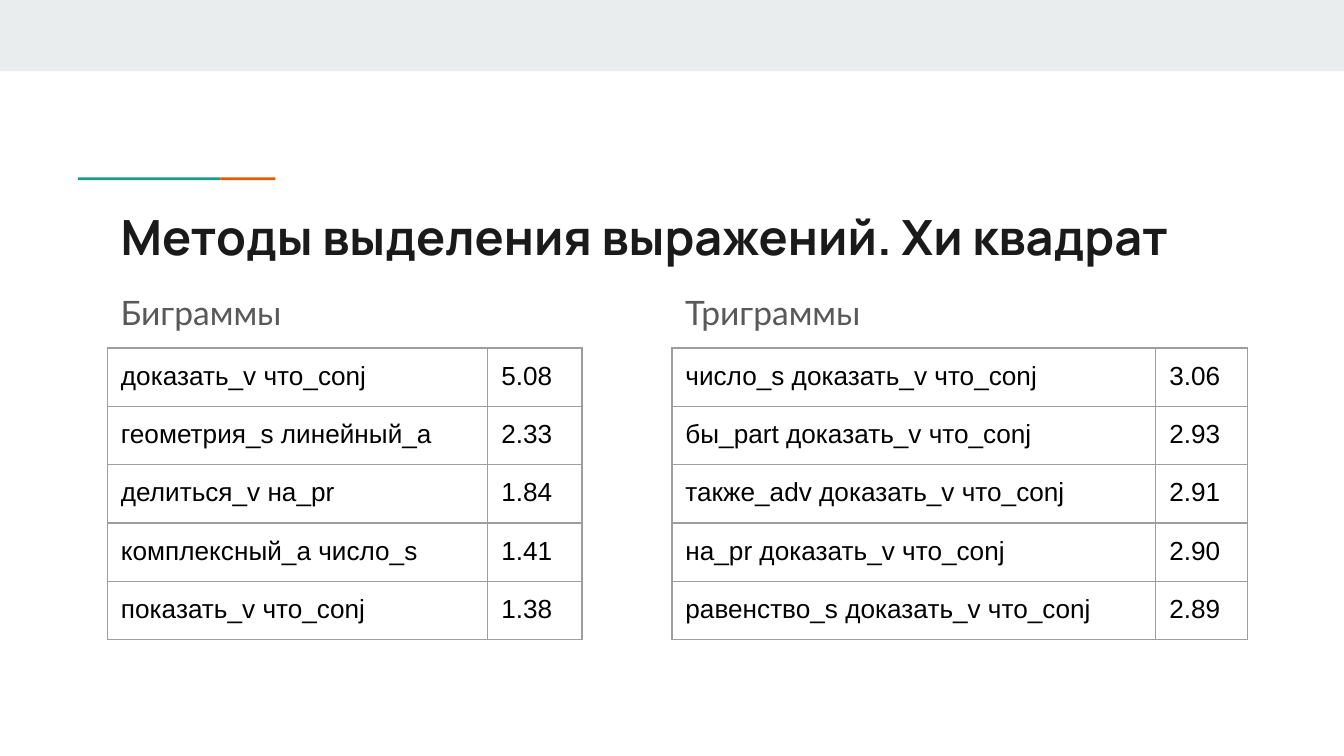
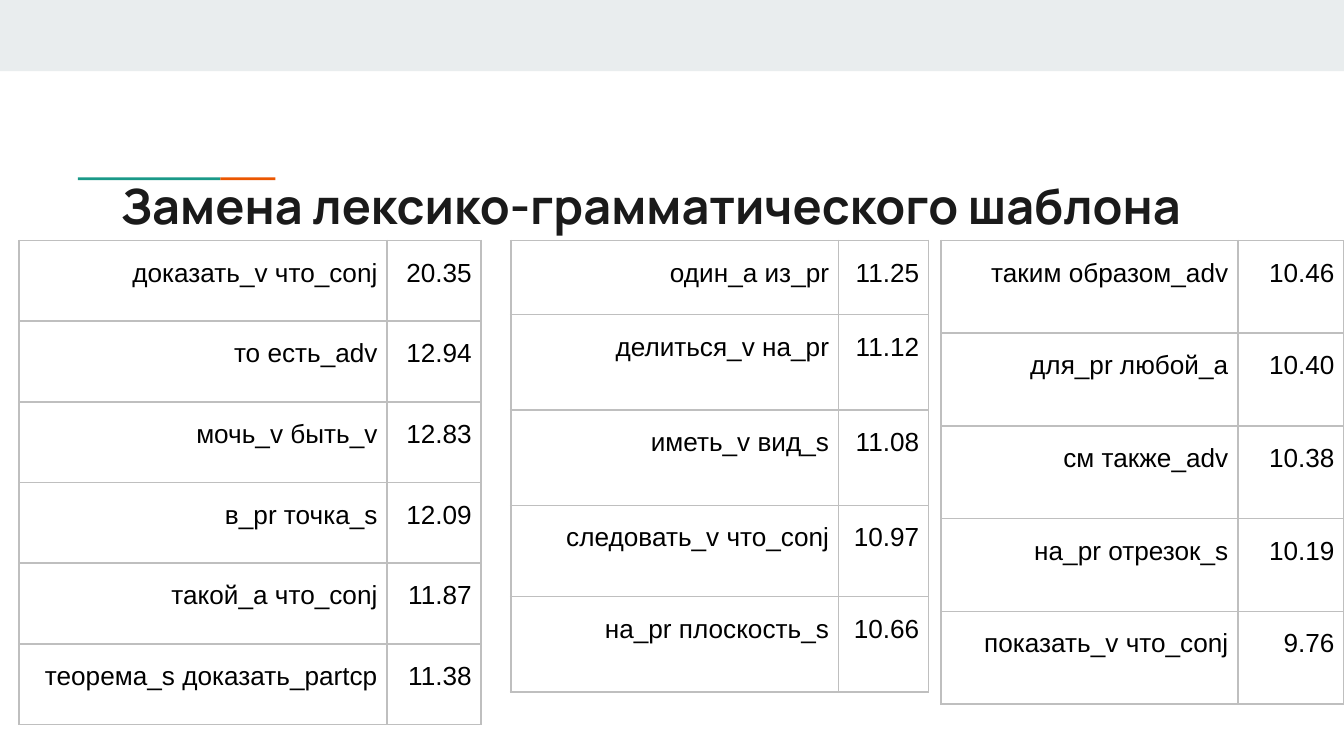
"""Build two slides of expression-extraction tables."""
from dataclasses import dataclass

from lxml import etree
from pptx import Presentation
from pptx.dml.color import RGBColor
from pptx.enum.shapes import MSO_SHAPE
from pptx.enum.text import PP_ALIGN
from pptx.oxml.ns import qn
from pptx.slide import Slide
from pptx.util import Inches, Pt

RECTANGLE = MSO_SHAPE.RECTANGLE
LEFT, RIGHT = PP_ALIGN.LEFT, PP_ALIGN.RIGHT

BAND = RGBColor(0xE9, 0xED, 0xEE)
TEAL = RGBColor(0x1A, 0x99, 0x88)
ORANGE = RGBColor(0xEB, 0x56, 0x00)
TITLE_INK = RGBColor(0x1A, 0x1A, 0x1A)
LABEL_INK = RGBColor(0x59, 0x59, 0x59)
CELL_INK = RGBColor(0x00, 0x00, 0x00)
DARK_BORDER = RGBColor(0x9E, 0x9E, 0x9E)
LIGHT_BORDER = RGBColor(0xBF, 0xBF, 0xBF)

TABLE_FRAME = Inches(3.28)


@dataclass(frozen=True)
class Bar:
    """A plain coloured strip, in inches."""
    left: float
    top: float
    width: float
    height: float
    color: RGBColor


@dataclass(frozen=True)
class TextStyle:
    """Font and spacing of a text box."""
    font: str
    size: float
    color: RGBColor
    bold: bool = False
    line_spacing: float | None = None
    space_after: float = 0


@dataclass(frozen=True)
class TableStyle:
    """Look shared by the tables of one slide."""
    top: float
    border: RGBColor
    border_width: float
    side_margin: float
    align: PP_ALIGN
    line_spacing: float | None = None
    space_before: float = 0


@dataclass(frozen=True)
class ScoreTable:
    """Expressions with their scores, and the table's geometry."""
    left: float
    columns: tuple[float, float]
    row_heights: tuple[float, ...]
    rows: tuple[tuple[str, str], ...]


BARS = (
    Bar(0, 0, 10, 0.53, BAND),
    Bar(0.58, 1.32, 1.06, 0.02, TEAL),
    Bar(1.64, 1.32, 0.41, 0.02, ORANGE),
)
TITLE = TextStyle("Manrope", 26, TITLE_INK, bold=True)
LABEL = TextStyle("Lato", 18, LABEL_INK, line_spacing=1.15, space_after=16)
NGRAM_STYLE = TableStyle(2.59, DARK_BORDER, 0.75, 0.1, LEFT)
PATTERN_STYLE = TableStyle(1.79, LIGHT_BORDER, 1, 0.07, RIGHT, 1.15, 12)

NGRAM_TABLES = {
    "Биграммы": ScoreTable(0.8, (2.83, 0.7), (0.42,) * 5, (
        ("доказать_v что_conj", "5.08"),
        ("геометрия_s линейный_а", "2.33"),
        ("делиться_v на_pr", "1.84"),
        ("комплексный_а число_s", "1.41"),
        ("показать_v что_conj", "1.38"),
    )),
    "Триграммы": ScoreTable(5, (3.6, 0.68), (0.42,) * 5, (
        ("число_s доказать_v что_conj", "3.06"),
        ("бы_part доказать_v что_conj", "2.93"),
        ("также_adv доказать_v что_conj", "2.91"),
        ("на_pr доказать_v что_conj", "2.90"),
        ("равенство_s доказать_v что_conj", "2.89"),
    )),
}
PATTERN_TABLES = (
    ScoreTable(0.14, (2.74, 0.7), (0.6,) * 6, (
        ("доказать_v что_conj", "20.35"),
        ("то есть_adv", "12.94"),
        ("мочь_v быть_v", "12.83"),
        ("в_pr точка_s", "12.09"),
        ("такой_a что_conj", "11.87"),
        ("теорема_s доказать_partcp", "11.38"),
    )),
    ScoreTable(3.8, (2.44, 0.67), (0.55, 0.71, 0.71, 0.68, 0.71), (
        ("один_a из_pr", "11.25"),
        ("делиться_v на_pr", "11.12"),
        ("иметь_v вид_s", "11.08"),
        ("следовать_v что_conj", "10.97"),
        ("на_pr плоскость_s", "10.66"),
    )),
    ScoreTable(7, (2.21, 0.79), (0.69,) * 5, (
        ("таким образом_adv", "10.46"),
        ("для_pr любой_a", "10.40"),
        ("см также_adv", "10.38"),
        ("на_pr отрезок_s", "10.19"),
        ("показать_v что_conj", "9.76"),
    )),
)


def add_bar(page: Slide, bar: Bar) -> None:
    """Draw one strip without outline or shadow."""
    shape = page.shapes.add_shape(
        RECTANGLE, Inches(bar.left), Inches(bar.top),
        Inches(bar.width), Inches(bar.height))
    shape.shadow.inherit = False
    shape.fill.solid()
    shape.fill.fore_color.rgb = bar.color
    shape.line.fill.background()


def add_text(page: Slide, text: str, left: float, top: float,
             width: float, height: float, style: TextStyle) -> None:
    """Add a wrapped text box in the given style."""
    box = page.shapes.add_textbox(
        Inches(left), Inches(top), Inches(width), Inches(height))
    frame = box.text_frame
    frame.word_wrap = True
    frame.margin_left = frame.margin_right = Inches(0.1)
    frame.margin_top = frame.margin_bottom = Inches(0.1)
    frame.text = text
    para = frame.paragraphs[0]
    para.line_spacing = style.line_spacing
    para.space_after = Pt(style.space_after)
    font = para.runs[0].font
    font.name = style.font
    font.size = Pt(style.size)
    font.bold = style.bold
    font.color.rgb = style.color


def set_borders(cell, color: RGBColor, width: float) -> None:
    """Give a table cell the same line on all four sides."""
    properties = cell._tc.get_or_add_tcPr()
    for side in ("a:lnL", "a:lnR", "a:lnT", "a:lnB"):
        line = etree.SubElement(properties, qn(side), w=str(Pt(width)))
        fill = etree.SubElement(line, qn("a:solidFill"))
        etree.SubElement(fill, qn("a:srgbClr"), val=str(color))


def fill_cell(cell, text: str, style: TableStyle) -> None:
    """Write and format one table cell."""
    set_borders(cell, style.border, style.border_width)
    cell.fill.background()
    cell.margin_left = cell.margin_right = Inches(style.side_margin)
    cell.margin_top = cell.margin_bottom = Inches(0.1)
    cell.text_frame.text = text
    para = cell.text_frame.paragraphs[0]
    para.alignment = style.align
    para.line_spacing = style.line_spacing
    para.space_before = Pt(style.space_before)
    font = para.runs[0].font
    font.name = "Arial"
    font.size = Pt(14)
    font.color.rgb = CELL_INK


def add_score_table(page: Slide, scores: ScoreTable, style: TableStyle) -> None:
    """Draw a two-column table of expressions and scores."""
    frame = page.shapes.add_table(
        len(scores.rows), len(scores.columns),
        Inches(scores.left), Inches(style.top), TABLE_FRAME, TABLE_FRAME)
    table = frame.table
    table.first_row = table.horz_banding = False
    for column, width in zip(table.columns, scores.columns):
        column.width = Inches(width)
    for row, height, texts in zip(table.rows, scores.row_heights, scores.rows):
        row.height = Inches(height)
        for cell, text in zip(row.cells, texts):
            fill_cell(cell, text, style)
    frame.width = frame.height = TABLE_FRAME


def add_page(deck, title: str, title_top: float) -> Slide:
    """Add a slide with the shared band, accent line and title."""
    page = deck.slides.add_slide(deck.slide_layouts[6])
    for bar in BARS:
        add_bar(page, bar)
    add_text(page, title, 0.8, title_top, 8.41, 0.59, TITLE)
    return page


def main() -> None:
    """Build and save the deck."""
    deck = Presentation()
    deck.slide_width = Inches(10)
    deck.slide_height = Inches(10) * 9 // 16

    page = add_page(deck, "Методы выделения выражений. Хи квадрат", 1.44)
    for label, scores in NGRAM_TABLES.items():
        add_text(page, label, scores.left, 2.03, 3.54, 2.47, LABEL)
        add_score_table(page, scores, NGRAM_STYLE)

    page = add_page(deck, "Замена лексико-грамматического шаблона", 1.21)
    for scores in PATTERN_TABLES:
        add_score_table(page, scores, PATTERN_STYLE)

    deck.save("out.pptx")


if __name__ == "__main__":
    main()
